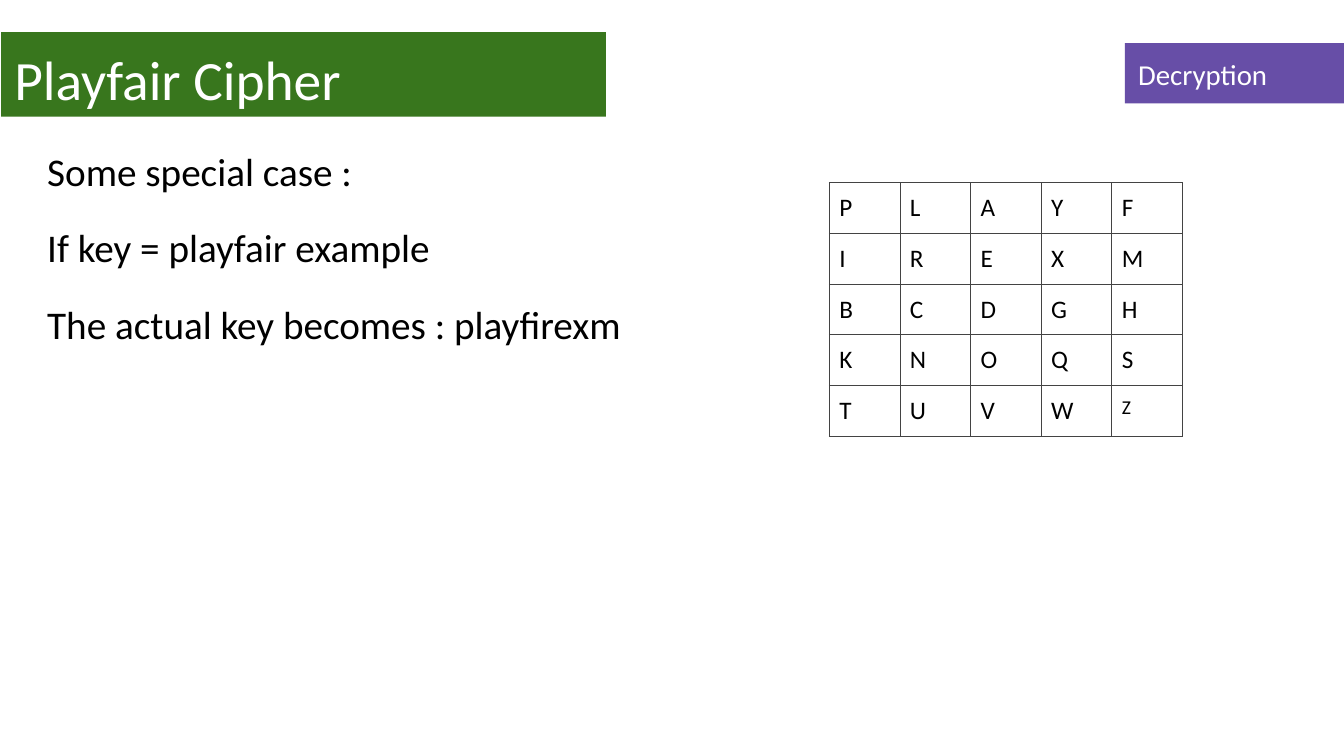
"""Build the Playfair Cipher decryption slide."""
from dataclasses import dataclass

from lxml import etree
from pptx import Presentation
from pptx import util as u
from pptx.dml.color import RGBColor
from pptx.enum import shapes, text
from pptx.oxml.ns import qn


@dataclass(frozen=True)
class Theme:
    font: str = "Calibri"
    white: str = "FFFFFF"
    black: str = "000000"
    green: str = "38761D"
    purple: str = "674EA7"
    grid: str = "434343"
    title_size: float = 39.6
    body_size: float = 28
    tag_size: float = 20.6
    letter_size: float = 18
    small_letter_size: float = 14
    border: float = 0.75
    box_margin: float = 0.33
    cell_margin: float = 0.25


@dataclass(frozen=True)
class Area:
    left: float
    top: float
    width: float
    height: float

    def lengths(self) -> tuple:
        return tuple(u.Cm(n) for n in (self.left, self.top, self.width, self.height))


@dataclass(frozen=True)
class Banner:
    wording: str
    area: Area
    fill: str
    size: float


THEME = Theme()
TITLE = Banner("Playfair Cipher", Area(0.03, 0.81, 15.24, 2.13), THEME.green, THEME.title_size)
TAG = Banner("Decryption", Area(28.35, 1.09, 5.52, 1.52), THEME.purple, THEME.tag_size)
BODY_AREA = Area(0.86, 3.2, 16, 15.09)
BODY_LINES = (
    "Some special case :",
    "If key = playfair example",
    "The actual key becomes : playfirexm",
)
KEY_SQUARE = ("PLAYF", "IREXM", "BCDGH", "KNOQS", "TUVWZ")
COLUMN_WIDTH, ROW_HEIGHT = 1.78, 1.28
SQUARE_AREA = Area(
    20.9, 4.6, COLUMN_WIDTH * len(KEY_SQUARE[0]), ROW_HEIGHT * len(KEY_SQUARE)
)


def format_text(frame, size: float, color: str) -> None:
    for para in frame.paragraphs:
        para.alignment = text.PP_ALIGN.LEFT
        for span in para.runs:
            span.font.name = THEME.font
            span.font.size = u.Pt(size)
            span.font.color.rgb = RGBColor.from_string(color)


def set_margins(holder, margin: float) -> None:
    holder.margin_left = holder.margin_right = u.Cm(margin)
    holder.margin_top = holder.margin_bottom = u.Cm(margin)


def prepare_frame(frame) -> None:
    frame.word_wrap = True
    frame.auto_size = text.MSO_AUTO_SIZE.NONE
    frame.vertical_anchor = text.MSO_ANCHOR.TOP
    set_margins(frame, THEME.box_margin)


def format_banner(box, banner: Banner) -> None:
    box.left, box.top, box.width, box.height = banner.area.lengths()
    box.fill.solid()
    box.fill.fore_color.rgb = RGBColor.from_string(banner.fill)
    box.line.fill.background()
    frame = box.text_frame
    frame.text = banner.wording
    prepare_frame(frame)
    format_text(frame, banner.size, THEME.white)


def add_body(page) -> None:
    frame = page.shapes.add_textbox(*BODY_AREA.lengths()).text_frame
    frame.text = "\n".join(BODY_LINES)
    prepare_frame(frame)
    format_text(frame, THEME.body_size, THEME.black)
    for para in frame.paragraphs:
        para.line_spacing = 1.15
        para.space_before = u.Pt(16)
    frame.paragraphs[0].space_before = u.Pt(0)


def add_tag(page) -> None:
    box = page.shapes.add_shape(shapes.MSO_SHAPE.RECTANGLE, *TAG.area.lengths())
    box.shadow.inherit = False
    format_banner(box, TAG)


def add_borders(cell) -> None:
    properties = cell._tc.get_or_add_tcPr()
    for side in ("lnL", "lnR", "lnT", "lnB"):
        line = etree.SubElement(properties, qn(f"a:{side}"), w=str(u.Pt(THEME.border)))
        fill = etree.SubElement(line, qn("a:solidFill"))
        etree.SubElement(fill, qn("a:srgbClr"), val=THEME.grid)


def add_key_square(page) -> None:
    table = page.shapes.add_table(
        len(KEY_SQUARE), len(KEY_SQUARE[0]), *SQUARE_AREA.lengths()
    ).table
    table.first_row = table.horz_banding = False
    for column in table.columns:
        column.width = u.Cm(COLUMN_WIDTH)
    for row, letters in zip(table.rows, KEY_SQUARE):
        row.height = u.Cm(ROW_HEIGHT)
        for cell, letter in zip(row.cells, letters):
            cell.text = letter
            set_margins(cell, THEME.cell_margin)
            size = THEME.small_letter_size if letter == "Z" else THEME.letter_size
            format_text(cell.text_frame, size, THEME.black)
            add_borders(cell)
            cell.fill.background()


def main() -> None:
    deck = Presentation()
    deck.slide_width, deck.slide_height = u.Cm(33.87), u.Cm(19.05)
    page = deck.slides.add_slide(deck.slide_layouts.get_by_name("Title Only"))
    format_banner(page.shapes.title, TITLE)
    add_body(page)
    add_tag(page)
    add_key_square(page)
    deck.save("out.pptx")


if __name__ == "__main__":
    main()
